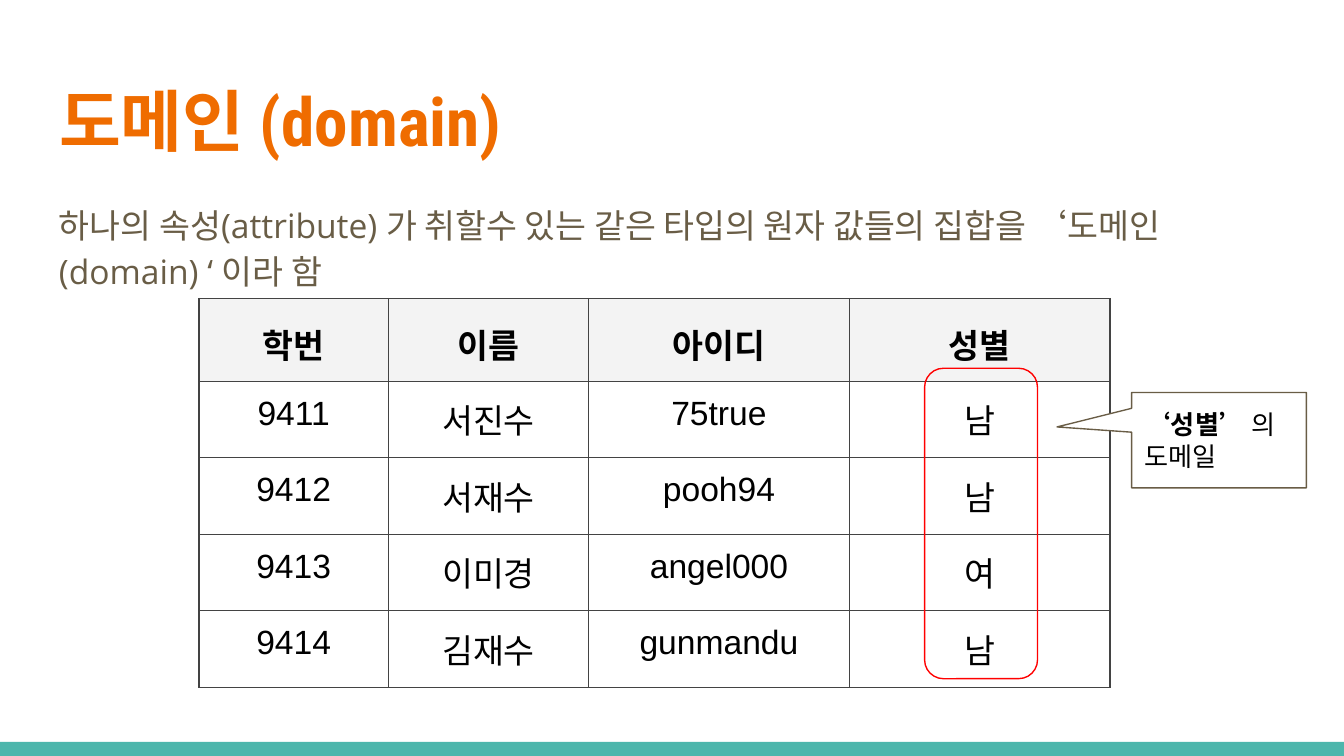
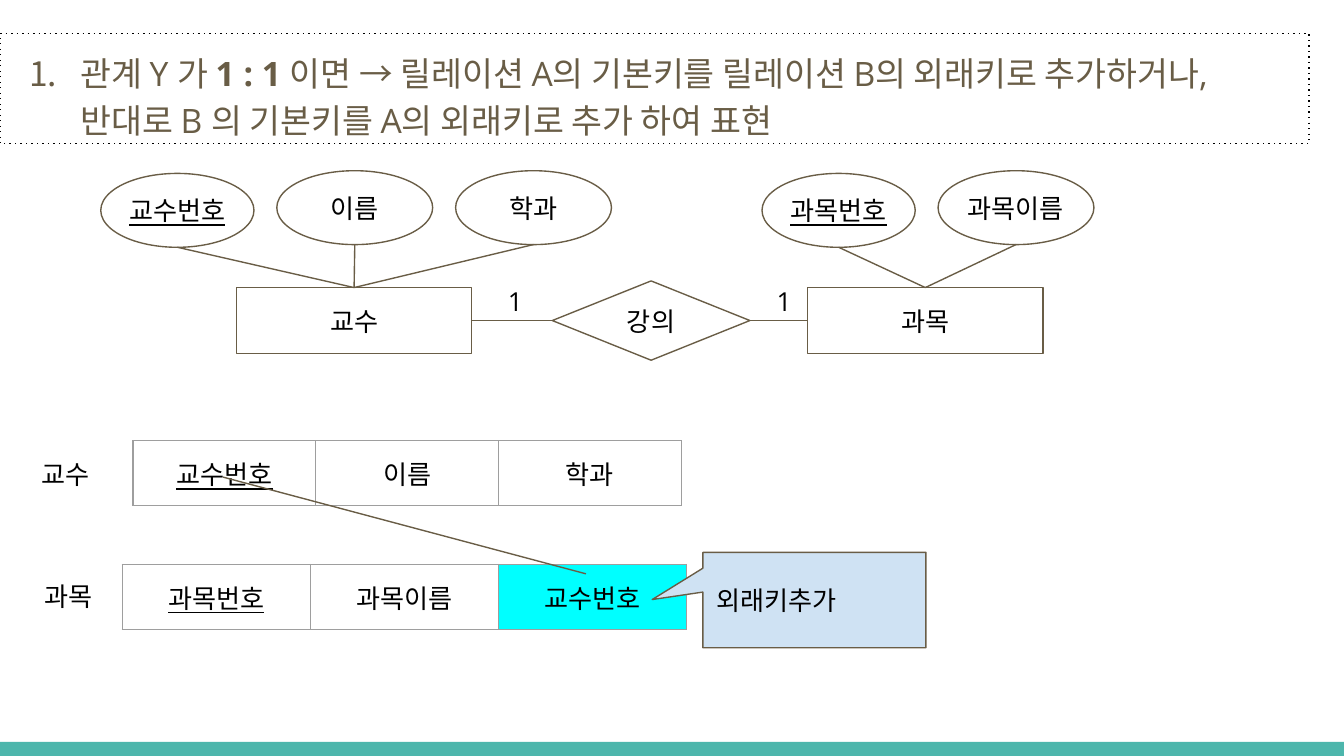
from lxml import etree
from pptx import Presentation, util as u
from pptx.dml.color import RGBColor
from pptx.enum import shapes, text
from pptx.oxml.ns import qn

COLORS = {
    "band": "4DB6AC", "title": "EF6C00", "body": "695D46", "black": "000000",
    "white": "FFFFFF", "red": "FF0000", "header": "F3F3F3", "grid": "434343",
    "light_grid": "9E9E9E", "key": "00FFFF", "note": "CFE2F3",
}
SHAPE = shapes.MSO_SHAPE
CENTER, LEFT = text.PP_ALIGN.CENTER, text.PP_ALIGN.LEFT
TOP, MIDDLE = text.MSO_ANCHOR.TOP, text.MSO_ANCHOR.MIDDLE
LABEL = {"size": u.Pt(14), "name": "Arial", "color": "black"}
ROW_NAME = {**LABEL, "name": "Open Sans"}
CELL = {**LABEL, "size": u.Pt(18)}
BODY = {"size": u.Pt(18), "name": "Open Sans", "color": "body"}
TITLE = {"size": u.Pt(36), "name": "Roboto Condensed", "color": "title", "bold": True}


def rgb(name):
    return RGBColor.from_string(COLORS[name])


def inches(*values):
    return [u.Inches(v) for v in values]


def add_run(p, words, style):
    r = p.add_run()
    r.text = words
    for key, value in style.items():
        if key == "color":
            r.font.color.rgb = rgb(value)
        else:
            setattr(r.font, key, value)


def write(tf, paragraphs, style, align=LEFT, anchor=TOP, inset=0.1, **spacing):
    """Fill a frame; each paragraph is a list of (words, extra format) runs."""
    tf.word_wrap = True
    tf.auto_size = text.MSO_AUTO_SIZE.NONE
    tf.vertical_anchor = anchor
    for side in ("left", "top", "right", "bottom"):
        setattr(tf, "margin_" + side, u.Inches(inset))
    for i, runs in enumerate(paragraphs):
        p = tf.paragraphs[0] if i == 0 else tf.add_paragraph()
        p.alignment = align
        for key, value in spacing.items():
            setattr(p, key, value)
        for words, extra in runs:
            add_run(p, words, {**style, **extra})


def add_text(s, box, words, style, **layout):
    sp = s.shapes.add_textbox(*inches(*box))
    write(sp.text_frame, [[(words, {})]], style, **layout)


def add_box(s, kind, box, fill=None, line="body", adjust=()):
    sp = s.shapes.add_shape(kind, *inches(*box))
    sp.shadow.inherit = False
    for i, value in enumerate(adjust):
        sp.adjustments[i] = value
    if fill:
        sp.fill.solid()
        sp.fill.fore_color.rgb = rgb(fill)
    else:
        sp.fill.background()
    if line:
        sp.line.color.rgb = rgb(line)
        sp.line.width = u.Pt(0.75)
    else:
        sp.line.fill.background()
    return sp


def add_node(s, kind, box, words, **extra):
    sp = add_box(s, kind, box, "white")
    write(sp.text_frame, [[(words, extra)]], LABEL, CENTER, MIDDLE, 0)
    return sp


def add_line(s, start, end):
    """Each end is an (x, y) point or a (shape, side) pair."""
    points = [(0, 0) if hasattr(e[0], "shape_id") else e for e in (start, end)]
    cn = s.shapes.add_connector(shapes.MSO_CONNECTOR.STRAIGHT, *inches(*points[0], *points[1]))
    for e, join in ((start, cn.begin_connect), (end, cn.end_connect)):
        if hasattr(e[0], "shape_id"):
            join(*e)
    cn.line.color.rgb = rgb("body")
    cn.line.width = u.Pt(0.75)
    etree.SubElement(cn._element.spPr, qn("a:effectLst"))


def set_borders(cell, color):
    tc_pr = cell._tc.get_or_add_tcPr()
    for i, side in enumerate(("lnL", "lnR", "lnT", "lnB")):
        ln = etree.Element(qn("a:" + side), w=str(u.Pt(0.75)))
        fill = etree.SubElement(ln, qn("a:solidFill"))
        etree.SubElement(fill, qn("a:srgbClr"), val=COLORS[color])
        tc_pr.insert(i, ln)


def add_grid(s, left, top, widths, heights, rows, border, style, formats):
    """Draw a table; formats(row, col) gives fill, run format and spacing."""
    table = s.shapes.add_table(len(rows), len(widths),
                               *inches(left, top, sum(widths), sum(heights))).table
    table.first_row = table.horz_banding = False
    for col, width in zip(table.columns, widths):
        col.width = u.Inches(width)
    for i, (row, height) in enumerate(zip(rows, heights)):
        table.rows[i].height = u.Inches(height)
        for j, words in enumerate(row):
            cell = table.cell(i, j)
            fill, extra, spacing = formats(i, j)
            for side in ("left", "top", "right", "bottom"):
                setattr(cell, "margin_" + side, u.Inches(0.1))
            p = cell.text_frame.paragraphs[0]
            p.alignment = CENTER
            if spacing:
                p.line_spacing = spacing
            add_run(p, words, {**style, **extra})
            if fill:
                cell.fill.solid()
                cell.fill.fore_color.rgb = rgb(fill)
            else:
                cell.fill.background()
            set_borders(cell, border)


def new_slide(prs, layout):
    s = prs.slides.add_slide(prs.slide_layouts[layout])
    add_box(s, SHAPE.RECTANGLE, (0, 5.52, 10, 0.11), "band", None)
    return s


def domain_slide(prs):
    s = new_slide(prs, 5)
    # Title and definition
    title = s.shapes.title
    title.left, title.top, title.width, title.height = inches(0.34, 0.49, 9.32, 0.77)
    write(title.text_frame, [[("도메인 (domain)", {})]], TITLE)
    add_text(s, (0.34, 1.38, 9.32, 0.95),
             "하나의 속성(attribute) 가 취할수 있는 같은 타입의 원자 값들의 집합을 "
             "‘도메인(domain) ‘ 이라 함", BODY, line_spacing=1.15, space_after=u.Pt(16))
    # Student table
    rows = [
        ("학번", "이름", "아이디", "성별"),
        ("9411", "서진수", "75true", "남"),
        ("9412", "서재수", "pooh94", "남"),
        ("9413", "이미경", "angel000", "여"),
        ("9414", "김재수", "gunmandu", "남"),
    ]
    add_grid(s, 1.48, 2.22, [1.41, 1.49, 1.94, 1.94], [0.6] + [0.57] * 4, rows, "grid", CELL,
             lambda i, j: (None, {}, None) if i else ("header", {"bold": True}, 1.15))
    # Marked domain and its callout
    add_box(s, SHAPE.ROUNDED_RECTANGLE, (6.88, 2.74, 0.84, 2.31), None, "red", [0.167])
    callout = add_box(s, SHAPE.RECTANGULAR_CALLOUT, (8.42, 2.92, 1.3, 0.71), "white",
                      adjust=[-0.927, -0.138])
    write(callout.text_frame, [[("‘성별’", {"bold": True}), (" 의", {})], [("도메일", {})]],
          LABEL, anchor=MIDDLE)


def rule_box(s, box):
    sp = add_box(s, SHAPE.RECTANGLE, box, None, "black")
    etree.SubElement(sp._element.spPr.find(qn("a:ln")), qn("a:prstDash"), val="dot")
    p_pr = sp.text_frame.paragraphs[0]._p.get_or_add_pPr()
    p_pr.set("marL", str(u.Inches(0.5)))
    p_pr.set("indent", str(u.Inches(-0.38)))
    bullet_color = etree.SubElement(p_pr, qn("a:buClr"))
    etree.SubElement(bullet_color, qn("a:srgbClr"), val=COLORS["body"])
    etree.SubElement(p_pr, qn("a:buAutoNum"), type="arabicPeriod")
    write(sp.text_frame, [[
        ("관계 Y 가 ", {}), ("1 : 1", {"bold": True}),
        (" 이면 → 릴레이션 A의 기본키를 릴레이션 B의 외래키로 추가하거나, "
         "반대로 B 의 기본키를 A의 외래키로 추가 하여 표현", {}),
    ]], BODY, line_spacing=1.15)


def entity(s, left, top, name, attributes):
    """Entity box with its attribute ellipses; the first attribute is the key."""
    box = add_node(s, SHAPE.RECTANGLE, (left, top, 1.75, 0.49), name)
    for i, (dx, words) in enumerate(attributes):
        x, y, width = left + dx, top - (0.87 if i else 0.85), 1.16 if i else 1.14
        add_node(s, SHAPE.OVAL, (x, y, width, 0.55), words, underline=i == 0)
        add_line(s, (x + width / 2, y + 0.55), (box, 0))
    return box


def relation_row(s, left, top, name_left, name_top, name, col_width, fields, foreign=None):
    """One-row table with its name; the first field is the key."""
    add_grid(s, left, top, [col_width] * 3, [0.42], [fields], "light_grid", LABEL,
             lambda i, j: ("key" if j == foreign else None, {"underline": j == 0}, None))
    add_text(s, (name_left, name_top, 0.73, 0.39), name, ROW_NAME)


def relation_slide(prs):
    s = new_slide(prs, 6)
    rule_box(s, (0, 0.25, 9.74, 0.82))
    # Entity diagram
    professor = entity(s, 1.76, 2.14, "교수",
                       [(-1.01, "교수번호"), (0.3, "이름"), (1.63, "학과")])
    course = entity(s, 6.01, 2.14, "과목", [(-0.34, "과목번호"), (0.97, "과목이름")])
    lecture = add_node(s, SHAPE.DIAMOND, (4.11, 2.09, 1.47, 0.59), "강의")
    add_line(s, (professor, 3), (lecture, 1))
    add_line(s, (lecture, 3), (course, 1))
    for x in (3.68, 5.68):
        add_text(s, (x, 2.02, 0.32, 0.32), "1", ROW_NAME)
    # Resulting relations
    relation_row(s, 0.99, 3.28, 0.21, 3.31, "교수", 1.36, ("교수번호", "이름", "학과"))
    relation_row(s, 0.91, 4.2, 0.23, 4.22, "과목", 1.4,
                 ("과목번호", "과목이름", "교수번호"), foreign=2)
    # Foreign key note and link
    note = add_box(s, SHAPE.ROUNDED_RECTANGULAR_CALLOUT, (5.23, 4.11, 1.66, 0.71), "note",
                   adjust=[-0.727, -0.005, 0])
    write(note.text_frame, [[("외래키추가", {})]], LABEL, anchor=MIDDLE)
    add_line(s, (1.66, 3.55), (4.36, 4.27))


def main():
    prs = Presentation()
    # Widescreen, 16:9
    prs.slide_width = u.Inches(10)
    prs.slide_height = prs.slide_width * 9 // 16
    domain_slide(prs)
    relation_slide(prs)
    prs.save("out.pptx")


if __name__ == "__main__":
    main()
